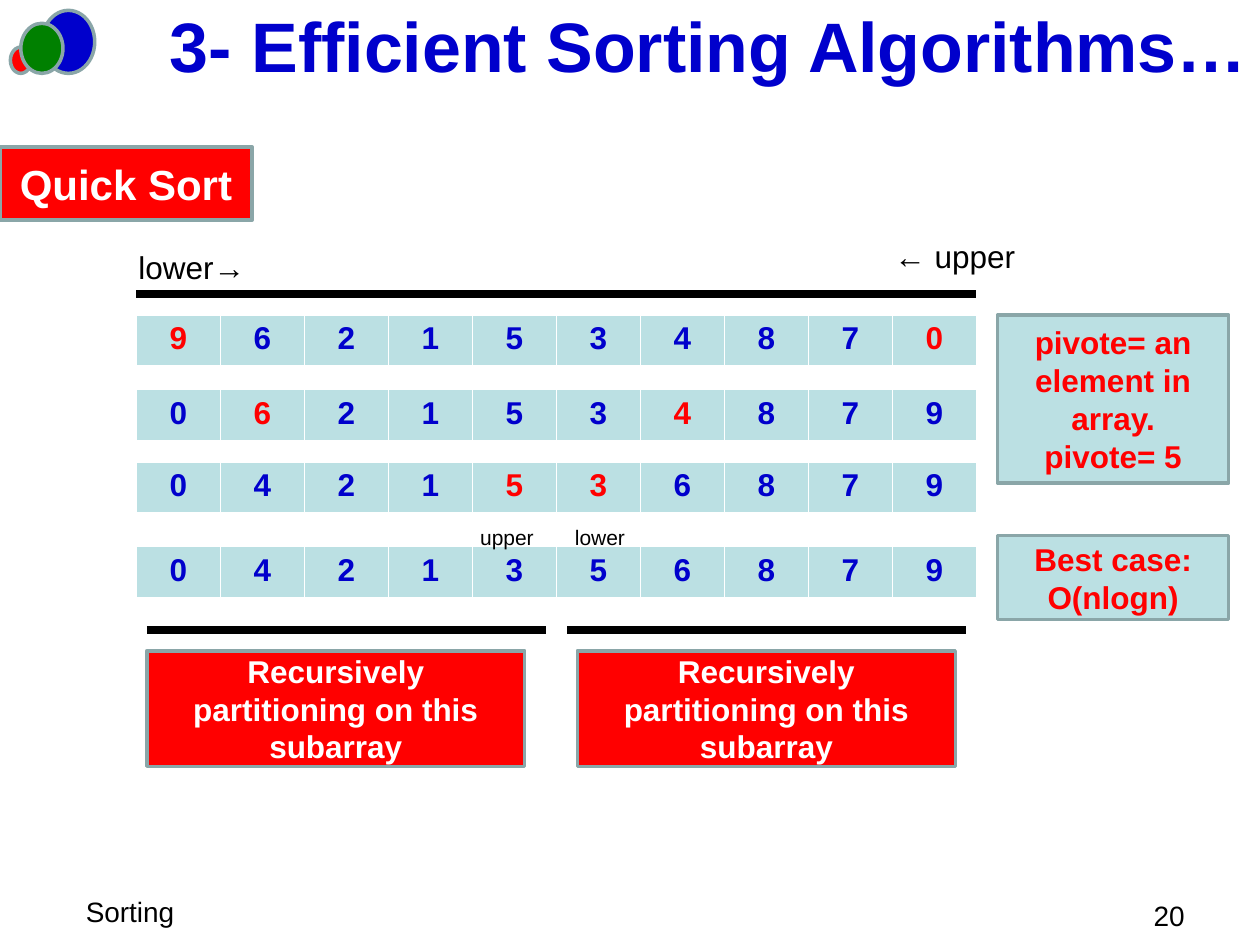
from pptx import Presentation
from pptx import util as u
from pptx.dml.color import RGBColor
from pptx.enum import shapes, text
from pptx.oxml.ns import qn
from lxml import etree

BLUE, RED, GREEN = "0000CC", "FF0000", "008000"
PALE, GREY, WHITE, BLACK = "BBE0E3", "8AA6A8", "FFFFFF", "000000"
LEFT, CENTER, RIGHT = text.PP_ALIGN.LEFT, text.PP_ALIGN.CENTER, text.PP_ALIGN.RIGHT


def color(value):
    return RGBColor.from_string(value)


def write(text_frame, content, size, hue, bold=False, align=CENTER):
    text_frame.text = content
    for paragraph in text_frame.paragraphs:
        paragraph.alignment = align
        for run in paragraph.runs:
            run.font.name = "Arial"
            run.font.size = u.Pt(size)
            run.font.bold = bold
            run.font.color.rgb = color(hue)


presentation = Presentation()
presentation.slide_width = u.Cm(25.4)
presentation.slide_height = u.Cm(19.05)
slide = presentation.slides.add_slide(presentation.slide_layouts[5])

# Title
title = slide.shapes.title
title.left, title.top, title.width, title.height = u.Cm(1.27), u.Cm(0), u.Cm(24.13), u.Cm(1.78)
write(title.text_frame, "3- Efficient Sorting Algorithms…", 40, BLUE, True, RIGHT)
title.text_frame.vertical_anchor = text.MSO_ANCHOR.MIDDLE
title.text_frame.auto_size = text.MSO_AUTO_SIZE.NONE

# Corner ornament of three ellipses
ornament = slide.shapes.add_group_shape()
for left, top, width, height, fill in [
    (0.85, 0.21, 1.06, 1.27, BLUE),
    (0.21, 0.95, 0.42, 0.53, RED),
    (0.42, 0.47, 0.85, 1.01, GREEN),
]:
    ellipse = ornament.shapes.add_shape(
        shapes.MSO_SHAPE.OVAL, u.Cm(left), u.Cm(top), u.Cm(width), u.Cm(height))
    ellipse.shadow.inherit = False
    ellipse.fill.solid()
    ellipse.fill.fore_color.rgb = color(fill)
    ellipse.line.color.rgb = color(GREY)
    ellipse.line.width = u.Pt(2)

# Heading, note and recursion boxes
recursion = "Recursively partitioning on this subarray"
for left, top, width, height, content, size, fill, hue in [
    (0, 2.96, 5.08, 1.48, "Quick Sort", 24, RED, WHITE),
    (20.11, 6.35, 4.66, 3.39, "pivote= an element in array.\npivote= 5", 18, PALE, RED),
    (20.11, 10.8, 4.66, 1.69, "Best case: O(nlogn)", 18, PALE, RED),
    (2.96, 13.12, 7.62, 2.33, recursion, 18, RED, WHITE),
    (11.64, 13.12, 7.62, 2.33, recursion, 18, RED, WHITE),
]:
    box = slide.shapes.add_shape(
        shapes.MSO_SHAPE.RECTANGLE, u.Cm(left), u.Cm(top), u.Cm(width), u.Cm(height))
    box.shadow.inherit = False
    box.fill.solid()
    box.fill.fore_color.rgb = color(fill)
    box.line.color.rgb = color(GREY)
    box.line.width = u.Pt(2)
    box.text_frame.vertical_anchor = text.MSO_ANCHOR.MIDDLE
    write(box.text_frame, content, size, hue, True)

# Array after each partitioning step, swapped positions in red
for top, digits, swapped in [
    (6.35, "9621534870", (0, 9)),
    (7.85, "0621534879", (1, 6)),
    (9.31, "0421536879", (4, 5)),
    (11.02, "0421356879", ()),
]:
    table = slide.shapes.add_table(
        1, len(digits), u.Cm(2.75), u.Cm(top), u.Cm(16.93), u.Cm(1.03)).table
    for index, digit in enumerate(digits):
        cell = table.cell(0, index)
        cell.fill.solid()
        cell.fill.fore_color.rgb = color(PALE)
        write(cell.text_frame, digit, 18, RED if index in swapped else BLUE, True)

# Range bars over the array and under its two parts
for start, end, height in [(2.75, 19.68, 5.93), (2.96, 11.01, 12.7), (11.43, 19.47, 12.7)]:
    bar = slide.shapes.add_connector(
        shapes.MSO_CONNECTOR.STRAIGHT, u.Cm(start), u.Cm(height), u.Cm(end), u.Cm(height))
    bar.line.color.rgb = color(BLACK)
    bar.line.width = u.Pt(4.5)
    etree.SubElement(bar._element.spPr, qn("a:effectLst"))

# Pointer labels, footer and slide number
for left, top, width, height, content, size, align in [
    (2.54, 4.87, 3.18, 1.02, "lower→", 18, LEFT),
    (17.78, 4.66, 4.23, 1.02, "← upper", 18, LEFT),
    (9.43, 10.44, 1.9, 0.77, "upper", 12, LEFT),
    (11.34, 10.44, 2.54, 0.77, "lower", 12, LEFT),
    (1.48, 17.9, 14.4, 0.94, "Sorting", 16, LEFT),
    (22.23, 17.98, 1.9, 0.85, "20", 16, RIGHT),
]:
    label = slide.shapes.add_textbox(u.Cm(left), u.Cm(top), u.Cm(width), u.Cm(height))
    label.text_frame.word_wrap = True
    write(label.text_frame, content, size, BLACK, align=align)

presentation.save("out.pptx")
